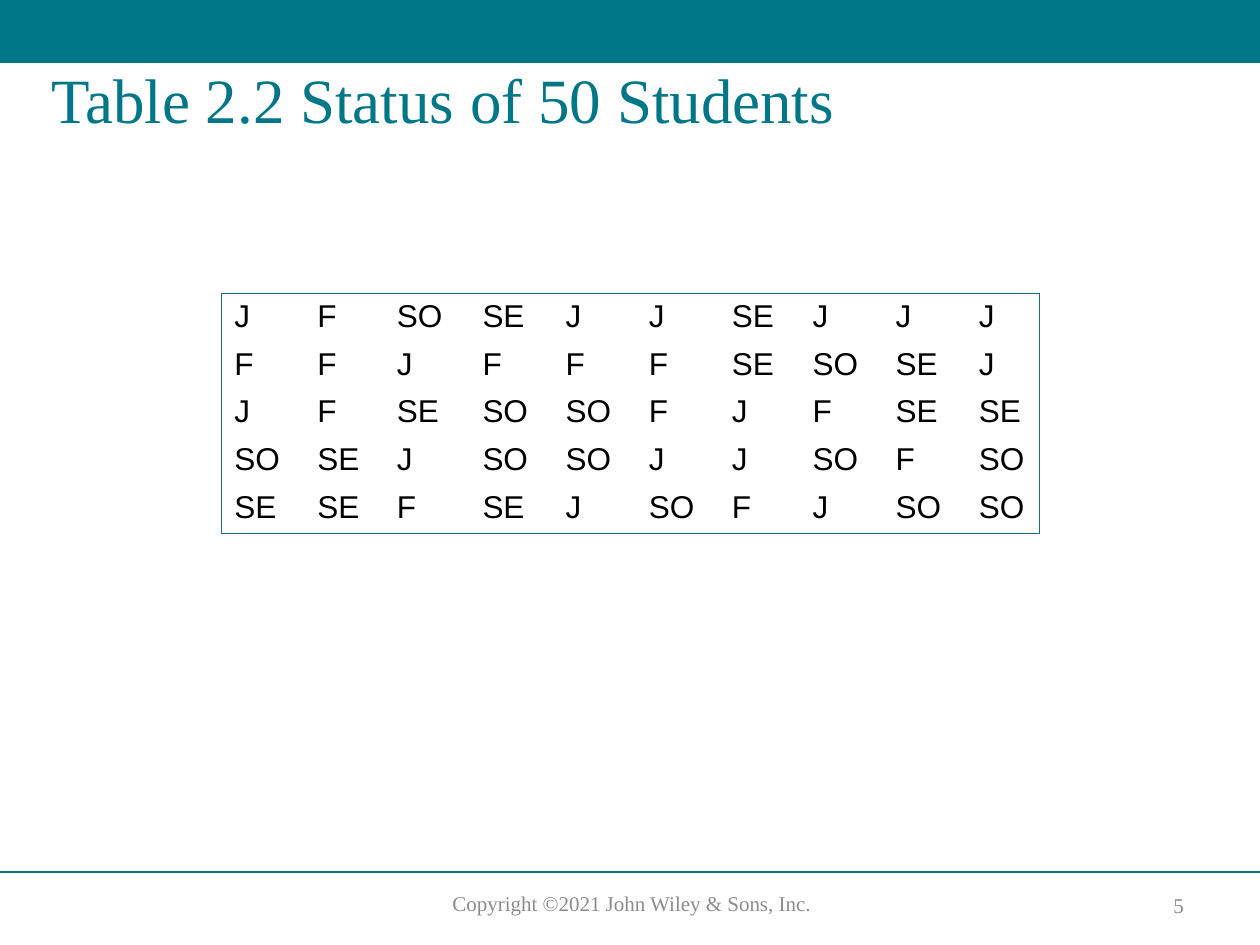
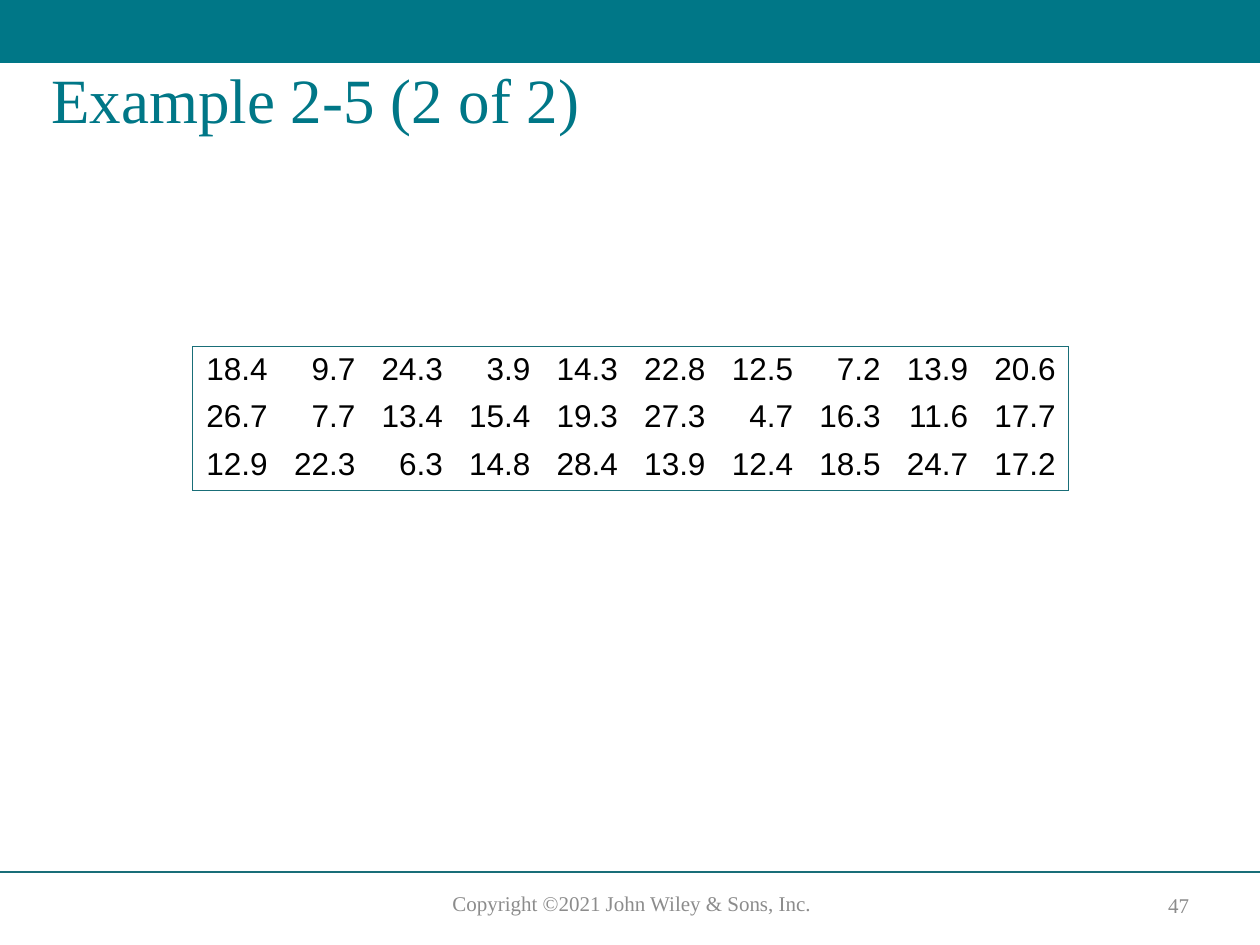
from dataclasses import dataclass

from lxml.etree import SubElement
from pptx import Presentation
from pptx.dml.color import RGBColor
from pptx.enum.shapes import MSO_CONNECTOR as CONN, MSO_SHAPE as SHAPE
from pptx.enum.text import MSO_ANCHOR as ANCHOR, PP_ALIGN as ALIGN
from pptx.oxml.ns import qn
from pptx.util import Inches, Pt

TEAL, RULE, GRAY, BLACK = "007787", "196E78", "8C8C8C", "000000"
SERIF, SANS = "Times New Roman", "Arial"
FOOTER = "Copyright ©2021 John Wiley & Sons, Inc."
ROW_HEIGHT = 0.38


@dataclass
class TextStyle:
    """Font and paragraph settings."""
    font: str
    size: int
    color: str
    align: ALIGN = ALIGN.LEFT


@dataclass
class TableSlide:
    """A titled slide with one framed table."""
    title: str
    number: int
    left: float
    top: float
    widths: list[float]
    align: ALIGN
    rows: list[str]


TITLE_STYLE = TextStyle(SERIF, 36, TEAL)
FOOTER_STYLE = TextStyle(SERIF, 12, GRAY, ALIGN.CENTER)

SLIDES = [
    TableSlide(
        "Table 2.2 Status of 50 Students", 5, 1.76, 2.33,
        [0.66, 0.63, 0.68, 0.66, 0.66, 0.66, 0.64, 0.66, 0.66, 0.58],
        ALIGN.LEFT,
        ["J F SO SE J J SE J J J",
         "F F J F F F SE SO SE J",
         "J F SE SO SO F J F SE SE",
         "SO SE J SO SO J J SO F SO",
         "SE SE F SE J SO F J SO SO"]),
    TableSlide(
        "Example 2-5 (2 of 2)", 47, 1.53, 2.75, [6.95 / 10] * 10,
        ALIGN.RIGHT,
        ["18.4 9.7 24.3 3.9 14.3 22.8 12.5 7.2 13.9 20.6",
         "26.7 7.7 13.4 15.4 19.3 27.3 4.7 16.3 11.6 17.7",
         "12.9 22.3 6.3 14.8 28.4 13.9 12.4 18.5 24.7 17.2"]),
]


def rgb(color: str) -> RGBColor:
    """Turn a hex string into a colour."""
    return RGBColor.from_string(color)


def set_text(tf, text: str, style: TextStyle):
    """Write one styled paragraph and return it."""
    p = tf.paragraphs[0]
    p.text, p.alignment = text, style.align
    p.font.name, p.font.size = style.font, Pt(style.size)
    p.font.color.rgb = rgb(style.color)
    return p


def add_text(s, box: tuple, text: str, style: TextStyle, anchor=ANCHOR.TOP):
    """Add a wrapping text box and return its paragraph."""
    tf = s.shapes.add_textbox(*map(Inches, box)).text_frame
    tf.word_wrap, tf.vertical_anchor = True, anchor
    return set_text(tf, text, style)


def add_frame(s, title: str, number: int) -> None:
    """Draw the band, footer rule, footer texts and title."""
    band = s.shapes.add_shape(SHAPE.RECTANGLE, 0, 0, Inches(10), Inches(0.5))
    band.shadow.inherit = False
    band.fill.solid()
    band.fill.fore_color.rgb = rgb(TEAL)
    band.line.fill.background()
    y = Inches(6.92)
    rule = s.shapes.add_connector(CONN.STRAIGHT, 0, y, Inches(10), y)
    rule.line.color.rgb, rule.line.width = rgb(RULE), Pt(1)
    SubElement(rule._element.spPr, qn("a:effectLst"))
    add_text(s, (3.22, 7.02, 3.59, 0.3), FOOTER, FOOTER_STYLE)
    add_text(s, (9.05, 7.04, 0.61, 0.28), str(number), FOOTER_STYLE,
             ANCHOR.MIDDLE)
    p = add_text(s, (0.31, 0.5, 9.33, 1.25), title, TITLE_STYLE)
    p.line_spacing = 0.9


def set_borders(cell, drawn: dict[str, bool]) -> None:
    """Draw the chosen sides of a cell and clear the others."""
    for side, visible in drawn.items():
        ln = SubElement(cell._tc.get_or_add_tcPr(), qn(f"a:ln{side}"),
                        w=str(Pt(0.5)))
        if visible:
            fill = SubElement(ln, qn("a:solidFill"))
            SubElement(fill, qn("a:srgbClr"), val=RULE)
        else:
            SubElement(ln, qn("a:noFill"))


def add_framed_table(s, spec: TableSlide) -> None:
    """Add a table that has only an outer border."""
    last_row, last_col = len(spec.rows) - 1, len(spec.widths) - 1
    table = s.shapes.add_table(
        last_row + 1, last_col + 1, Inches(spec.left), Inches(spec.top),
        Inches(sum(spec.widths)), Inches(ROW_HEIGHT * len(spec.rows))).table
    table.first_row = table.horz_banding = False
    for col, width in zip(table.columns, spec.widths):
        col.width = Inches(width)
    style = TextStyle(SANS, 18, BLACK, spec.align)
    for i, row in enumerate(spec.rows):
        table.rows[i].height = Inches(ROW_HEIGHT)
        for j, value in enumerate(row.split()):
            cell = table.cell(i, j)
            cell.margin_top = cell.margin_bottom = Inches(0.04)
            set_borders(cell, {"L": j == 0, "R": j == last_col,
                               "T": i == 0, "B": i == last_row})
            cell.fill.background()
            set_text(cell.text_frame, value, style).space_after = Pt(3)


def main() -> None:
    """Build and save the slides."""
    prs = Presentation()
    prs.slide_width, prs.slide_height = Inches(10), Inches(7.5)
    for spec in SLIDES:
        s = prs.slides.add_slide(prs.slide_layouts[6])
        add_frame(s, spec.title, spec.number)
        add_framed_table(s, spec)
    prs.save("out.pptx")


if __name__ == "__main__":
    main()
